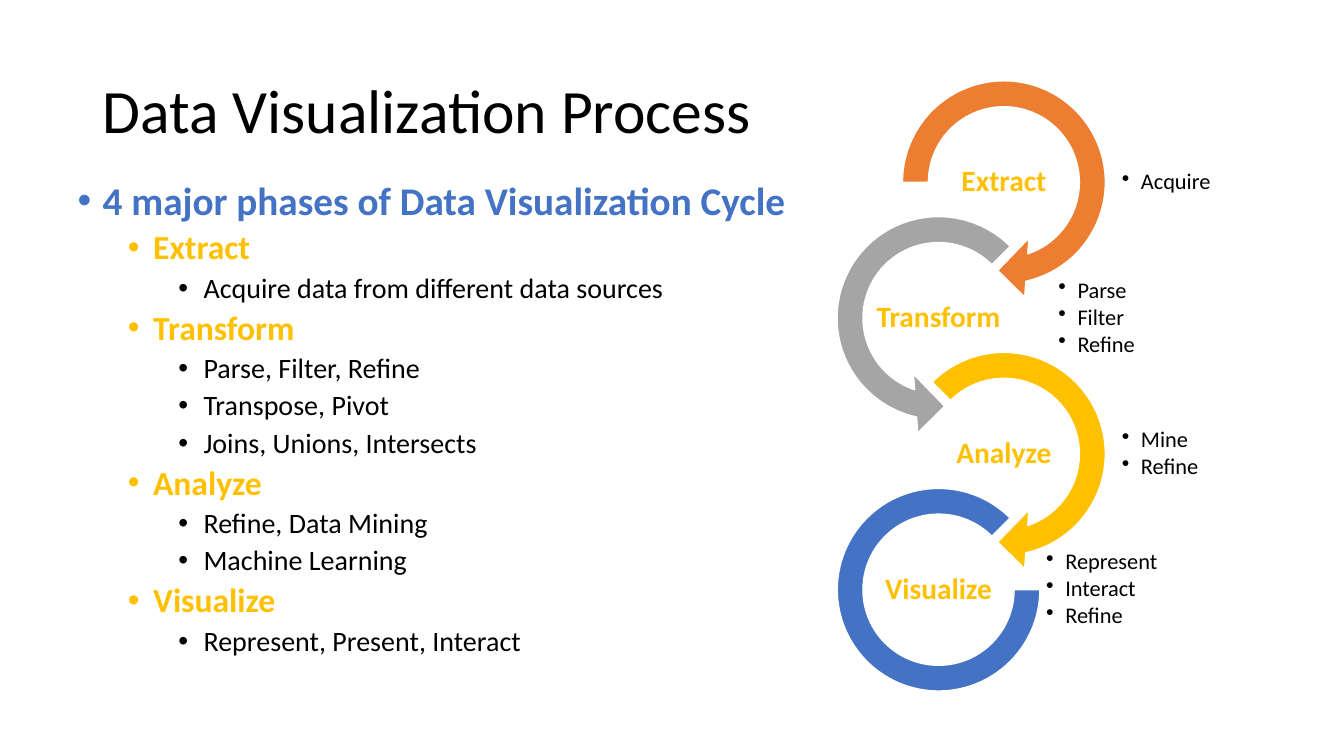
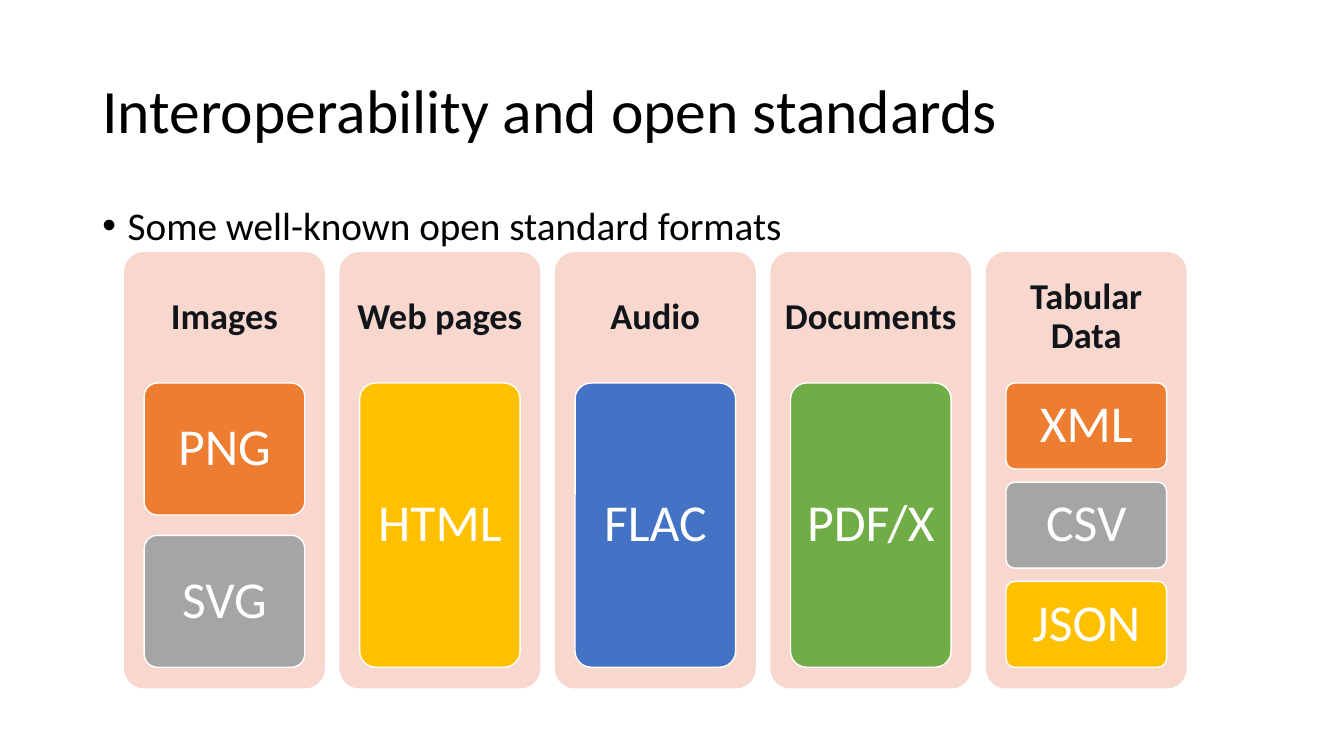
import pptx
import pptx.dml.color
import pptx.enum.shapes
import pptx.enum.text
import pptx.oxml
import pptx.oxml.ns
import pptx.util

Pt = pptx.util.Pt
RGBColor = pptx.dml.color.RGBColor
Shape = pptx.enum.shapes.MSO_SHAPE
Align = pptx.enum.text.PP_ALIGN
Anchor = pptx.enum.text.MSO_ANCHOR

BLACK = RGBColor(0x00, 0x00, 0x00)
WHITE = RGBColor(0xFF, 0xFF, 0xFF)
INK = RGBColor(0x11, 0x15, 0x1A)
ORANGE = RGBColor(0xED, 0x7D, 0x31)
GRAY = RGBColor(0xA5, 0xA5, 0xA5)
GOLD = RGBColor(0xFF, 0xC0, 0x00)
BLUE = RGBColor(0x44, 0x72, 0xC4)
GREEN = RGBColor(0x70, 0xAD, 0x47)
PINK = RGBColor(0xF8, 0xD7, 0xCE)

FONT = "Calibri"
TITLE_BOX = (66, 28.8, 828, 104.4)
TITLE_STYLE = {"size": 44, "color": BLACK}
TILE_STYLE = {"size": 37, "color": WHITE}
COLUMN_STYLE = {"size": 26, "color": INK, "bold": True}
PHASE_STYLE = {"size": 21, "color": GOLD, "bold": True}
DETAIL_STYLE = {"size": 16, "color": BLACK}
OUTLINE_STYLES = [
    {"size": 28, "color": BLUE, "bold": True},
    {"size": 24, "color": GOLD, "bold": True},
    {"size": 20, "color": BLACK},
]

OUTLINE = [
    (0, "4 major phases of Data Visualization Cycle"),
    (1, "Extract"),
    (2, "Acquire data from different data sources"),
    (1, "Transform"),
    (2, "Parse, Filter, Refine"),
    (2, "Transpose, Pivot"),
    (2, "Joins, Unions, Intersects"),
    (1, "Analyze"),
    (2, "Refine, Data Mining"),
    (2, "Machine Learning"),
    (1, "Visualize"),
    (2, "Represent, Present, Interact"),
]

PHASES = [
    ("Extract", ["Acquire"], ORANGE, Shape.CIRCULAR_ARROW,
     [0.11, 11.42, 45, 108, 0.125], 168.5, 717.1, 800.6),
    ("Transform", ["Parse", "Filter", "Refine"], GRAY, Shape.LEFT_CIRCULAR_ARROW,
     [0.11, 11.42, 63, 189, 0.125], 168.5, 670.4, 755.3),
    ("Analyze", ["Mine", "Refine"], GOLD, Shape.CIRCULAR_ARROW,
     [0.11, 11.42, 45, 135, 0.125], 168.5, 717.1, 800.6),
    ("Visualize", ["Represent", "Interact", "Refine"], BLUE, Shape.BLOCK_ARC,
     [0, 189, 0.127], 144.7, 670.4, 746.6),
]
PHASE_TOP, PHASE_PITCH = 130.2, 97

FORMATS = [
    ("Images", [("PNG", ORANGE), ("SVG", GRAY)]),
    ("Web pages", [("HTML", GOLD)]),
    ("Audio", [("FLAC", BLUE)]),
    ("Documents", [("PDF/X", GREEN)]),
    ("Tabular Data", [("XML", ORANGE), ("CSV", GRAY), ("JSON", GOLD)]),
]
COLUMN_LEFT, COLUMN_PITCH, COLUMN_WIDTH = 88.6, 153.9, 143.5
COLUMN_TOP, COLUMN_HEIGHT, HEADING_HEIGHT = 180, 311.8, 93.6
TILE_MARGIN, TILES_HEIGHT, TILE_GAP_RATIO = 14.4, 203, 0.154


def place(shape, box):
    for name, value in zip(("left", "top", "width", "height"), box):
        setattr(shape, name, Pt(value))


def set_bullet(paragraph, left, hanging):
    properties = paragraph._p.get_or_add_pPr()
    properties.set("marL", str(Pt(left)))
    properties.set("indent", str(-Pt(hanging)))
    bullet = pptx.oxml.parse_xml(
        f'<a:buChar {pptx.oxml.ns.nsdecls("a")} char="•"/>')
    properties.append(bullet)


def write(paragraph, text, style, **spacing):
    run = paragraph.add_run()
    run.text = text
    run.font.color.rgb = style["color"]
    font_values = {"name": FONT, "size": Pt(style["size"]), "bold": style.get("bold", False)}
    for name, value in font_values.items():
        setattr(run.font, name, value)
    paragraph_values = {"line_spacing": 0.9, "space_before": Pt(0), "space_after": Pt(0)}
    paragraph_values.update(spacing)
    for name, value in paragraph_values.items():
        setattr(paragraph, name, value)


def set_frame(frame, margin, anchor=Anchor.MIDDLE):
    values = {"word_wrap": True, "vertical_anchor": anchor,
              "auto_size": pptx.enum.text.MSO_AUTO_SIZE.NONE}
    for side in ("left", "right", "top", "bottom"):
        values["margin_" + side] = Pt(margin)
    for name, value in values.items():
        setattr(frame, name, value)


def paragraphs_for(frame, items):
    for index, item in enumerate(items):
        yield index, frame.add_paragraph() if index else frame.paragraphs[0], item


def add_titled_slide(presentation, title, body_box, outline):
    slide = presentation.slides.add_slide(presentation.slide_layouts[1])
    place(slide.shapes.title, TITLE_BOX)
    title_frame = slide.shapes.title.text_frame
    set_frame(title_frame, 7.2)
    write(title_frame.paragraphs[0], title, TITLE_STYLE, alignment=Align.LEFT)
    body = slide.placeholders[1]
    place(body, body_box)
    set_frame(body.text_frame, 7.2, Anchor.TOP)
    body.text_frame.margin_top = Pt(3.6)
    for index, paragraph, (level, text, style) in paragraphs_for(body.text_frame, outline):
        set_bullet(paragraph, 18 + 36 * level, 18)
        paragraph.level = level
        write(paragraph, text, style, space_before=Pt(5 if index else 0))
    return slide


def add_figure(slide, kind, box, fill, adjustments, outlined=True):
    shape = slide.shapes.add_shape(kind, *map(Pt, box))
    shape.shadow.inherit = False
    shape.fill.solid()
    shape.fill.fore_color.rgb = fill
    if outlined:
        shape.line.color.rgb = WHITE
        shape.line.width = Pt(1)
    else:
        shape.line.fill.background()
    for index, value in enumerate(adjustments):
        shape.adjustments[index] = value
    return shape


def add_label(slide, box, text, style, margin):
    frame = slide.shapes.add_textbox(*map(Pt, box)).text_frame
    set_frame(frame, margin)
    write(frame.paragraphs[0], text, style, alignment=Align.CENTER)


def add_details(slide, box, items):
    frame = slide.shapes.add_textbox(*map(Pt, box)).text_frame
    set_frame(frame, 0.7)
    for _, paragraph, text in paragraphs_for(frame, items):
        set_bullet(paragraph, 13.7, 13.7)
        write(paragraph, text, DETAIL_STYLE, space_after=Pt(2))


def add_phase(slide, index, phase):
    name, details, color, kind, adjustments, size, center, details_left = phase
    middle = PHASE_TOP + PHASE_PITCH * index
    ring_box = (center - size / 2, middle - size / 2, size, size)
    add_figure(slide, kind, ring_box, color, adjustments)
    add_details(slide, (details_left, middle - 33.5, 117, 67), details)
    add_label(slide, (center - 46.8, middle - 23.4, 93.6, 46.8), name, PHASE_STYLE, 0.7)


def add_tile(slide, box, text, color):
    tile = add_figure(slide, Shape.ROUNDED_RECTANGLE, box, color, [0.1])
    set_frame(tile.text_frame, 3)
    write(tile.text_frame.paragraphs[0], text, TILE_STYLE, alignment=Align.CENTER)


def add_format_column(slide, index, heading, tiles):
    left = COLUMN_LEFT + COLUMN_PITCH * index
    add_figure(slide, Shape.ROUNDED_RECTANGLE,
               (left, COLUMN_TOP, COLUMN_WIDTH, COLUMN_HEIGHT), PINK, [0.1], outlined=False)
    add_label(slide, (left, COLUMN_TOP, COLUMN_WIDTH, HEADING_HEIGHT),
              heading, COLUMN_STYLE, 7.8)
    count = len(tiles)
    height = TILES_HEIGHT / (count + TILE_GAP_RATIO * (count - 1))
    for row, (text, color) in enumerate(tiles):
        top = COLUMN_TOP + HEADING_HEIGHT + row * height * (1 + TILE_GAP_RATIO)
        box = (left + TILE_MARGIN, top, COLUMN_WIDTH - 2 * TILE_MARGIN, height)
        add_tile(slide, box, text, color)


def build_process_slide(presentation):
    outline = [(level, text, OUTLINE_STYLES[level]) for level, text in OUTLINE]
    slide = add_titled_slide(presentation, "Data Visualization Process",
                             (48.2, 126, 535.7, 383.8), outline)
    for index, phase in enumerate(PHASES):
        add_phase(slide, index, phase)


def build_standards_slide(presentation):
    outline = [(0, "Some well-known open standard formats", {"size": 28, "color": BLACK})]
    slide = add_titled_slide(presentation, "Interoperability and open standards",
                             (66, 144, 828, 342.7), outline)
    for index, (heading, tiles) in enumerate(FORMATS):
        add_format_column(slide, index, heading, tiles)


def main():
    presentation = pptx.Presentation()
    presentation.slide_width = Pt(960)
    presentation.slide_height = Pt(540)
    build_process_slide(presentation)
    build_standards_slide(presentation)
    presentation.save("out.pptx")


if __name__ == "__main__":
    main()
